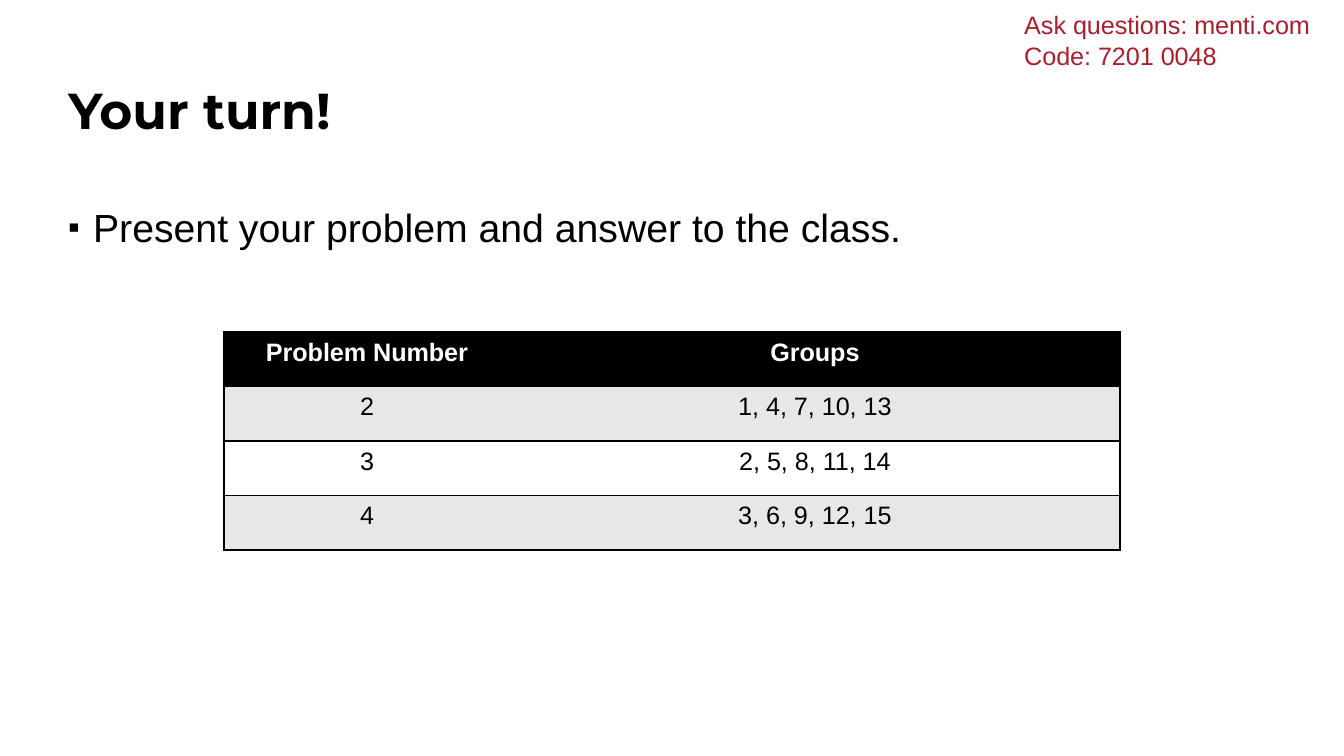
"""Build the "Your turn!" slide with its table of problems and groups."""
from lxml import etree
from pptx import Presentation, util as u
from pptx.dml.color import RGBColor
from pptx.enum import text as t
from pptx.oxml.ns import qn

TITLE = "Your turn!"
TASK = "Present your problem and answer to the class."
NOTE = ["Ask questions: menti.com", "Code: 7201 0048"]
ROWS = [
    ("Problem Number", "Groups"),
    ("2", "1, 4, 7, 10, 13"),
    ("3", "2, 5, 8, 11, 14"),
    ("4", "3, 6, 9, 12, 15"),
]
COLS = [286, 610]
HEX = {"ink": "000000", "paper": "FFFFFF", "band": "E7E7E7", "note": "AB1F2D"}
PLACE = {
    "title": (55, 40, 1235, 147),
    "task": (55, 202, 1235, 425),
    "note": (1011, 3, 333, 75),
    "table": (224, 332, sum(COLS), 218),
}
SCALE = 9144000 / 1344


def px(n):
    return u.Emu(round(n * SCALE))


def box(name):
    return [px(n) for n in PLACE[name]]


def style(para, size, color, bold=False, face="Arial"):
    for run in para.runs:
        font = run.font
        font.name, font.size, font.bold = face, u.Pt(size), bold
        font.color.rgb = RGBColor.from_string(HEX[color])


def write(slide, name, text):
    frame = slide.shapes.add_textbox(*box(name)).text_frame
    frame.word_wrap = True
    frame.text = text
    return frame


def bullet(para, char, indent):
    props = para._p.get_or_add_pPr()
    props.set("marL", str(px(indent)))
    props.set("indent", str(-px(indent)))
    etree.SubElement(props, qn("a:buSzPct"), val="85000")
    etree.SubElement(props, qn("a:buFont"), typeface="Arial")
    etree.SubElement(props, qn("a:buChar"), char=char)


def border(cell, sides):
    props = cell._tc.get_or_add_tcPr()
    for spot, side in enumerate("LRTB"):
        line = etree.Element(qn("a:ln" + side), w=str(u.Pt(1)))
        if side in sides:
            fill = etree.SubElement(line, qn("a:solidFill"))
            etree.SubElement(fill, qn("a:srgbClr"), val=HEX["ink"])
        else:
            etree.SubElement(line, qn("a:noFill"))
        props.insert(spot, line)


def add_grid(slide):
    grid = slide.shapes.add_table(len(ROWS), len(COLS), *box("table")).table
    grid.horz_banding = False
    for col, width in zip(grid.columns, COLS):
        col.width = px(width)
    for r, row in enumerate(ROWS):
        head = r == 0
        fill = "ink" if head else "band" if r % 2 else "paper"
        for c, text in enumerate(row):
            cell = grid.cell(r, c)
            cell.text = text
            cell.fill.solid()
            cell.fill.fore_color.rgb = RGBColor.from_string(HEX[fill])
            para = cell.text_frame.paragraphs[0]
            para.alignment = t.PP_ALIGN.CENTER
            style(para, 13.5, "paper" if head else "ink", head)
            border(cell, "TBR" if c else "TBL")


def main():
    deck = Presentation()
    deck.slide_width, deck.slide_height = px(1344), px(756)
    slide = deck.slides.add_slide(deck.slide_layouts[5])

    title = slide.shapes.title
    title.left, title.top, title.width, title.height = box("title")
    title.text_frame.text = TITLE
    title.text_frame.vertical_anchor = t.MSO_ANCHOR.MIDDLE
    para = title.text_frame.paragraphs[0]
    para.alignment, para.line_spacing = t.PP_ALIGN.LEFT, 0.9
    style(para, 27, "ink", True, "Montserrat")

    para = write(slide, "task", TASK).paragraphs[0]
    para.line_spacing = 0.9
    bullet(para, "▪", 25)
    style(para, 21, "ink")

    for para in write(slide, "note", "\n".join(NOTE)).paragraphs:
        style(para, 13.5, "note")

    add_grid(slide)
    deck.save("out.pptx")


if __name__ == "__main__":
    main()
